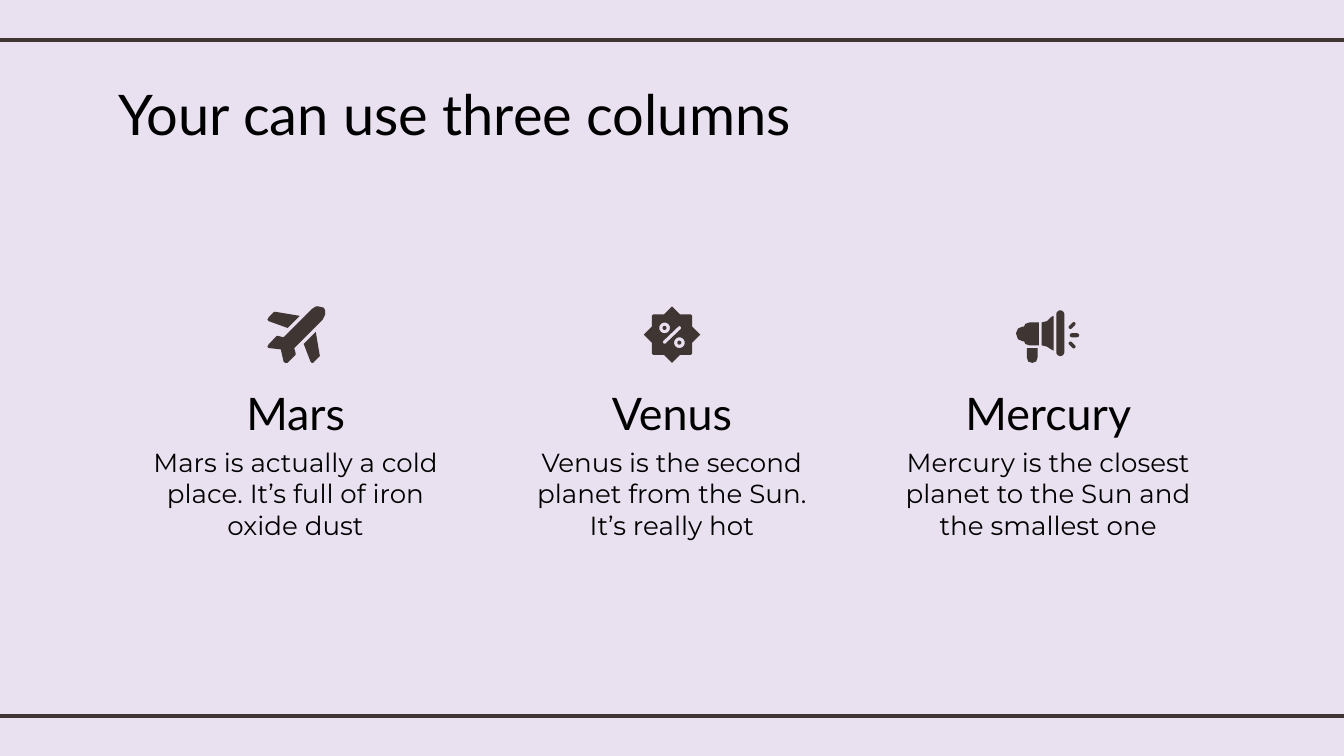
import math

from lxml import etree
from pptx import Presentation
from pptx.dml.color import RGBColor
from pptx.enum import shapes, text
from pptx.oxml import ns
from pptx.util import Inches, Pt

LILAC = RGBColor(0xE9, 0xE0, 0xF0)
BROWN = RGBColor(0x3F, 0x35, 0x33)
BLACK = RGBColor(0, 0, 0)

SLIDE_WIDTH = 10
SLIDE_HEIGHT = SLIDE_WIDTH * 9 / 16
COLUMN_WIDTH = 2.33
COLUMN_PITCH = 2.8
FIRST_CENTER = 2.2
ICON_Y = 2.49


def write(tf, words, font="Montserrat", size=14, color=BLACK,
          align=text.PP_ALIGN.LEFT):
    p = tf.paragraphs[0]
    p.alignment = align
    r = p.add_run()
    r.text = words
    r.font.name = font
    r.font.size = Pt(size)
    r.font.color.rgb = color


def capsule(x1, y1, x2, y2, radius, steps=12):
    """Outline of a round-ended bar; equal ends give a circle."""
    angle = math.atan2(y2 - y1, x2 - x1)
    points = []
    for x, y, start in ((x2, y2, angle - math.pi / 2),
                        (x1, y1, angle + math.pi / 2)):
        for i in range(steps + 1):
            turn = start + math.pi * i / steps
            points.append((x + radius * math.cos(turn),
                           y + radius * math.sin(turn)))
    return points


def badge_outline():
    """Eight-pointed badge, one quarter turned four times."""
    quarter = [(0, -21), (1, -20), (6, -15), (14, -15), (15, -14),
               (15, -6), (20, -1)]
    points = []
    for _ in range(4):
        points += quarter
        quarter = [(-y, x) for x, y in quarter]
    return points


# Icons: shapes made of outlines, in hundredths of an inch from the centre
PLANE = [
    [[(17, -21), (15, -21), (12, -19), (-9, 2), (-13, 1), (-14, 1), (-20, 7),
      (-21, 9), (-20, 10), (-11, 11), (-9, 20), (-8, 21), (-6, 21), (0, 15),
      (0, 14), (-1, 10), (20, -11), (22, -15), (22, -18), (21, -20)]],
    [[(-15, -17), (-16, -17), (-20, -13), (-21, -11), (-20, -10), (-6, -5),
      (3, -14)]],
    [[(15, -2), (6, 7), (11, 20), (12, 21), (13, 21), (17, 17), (18, 16)]],
]
BADGE = [
    [capsule(5.5, 6, 5.5, 6, 1.5)],
    [capsule(-5.5, -5, -5.5, -5, 1.5)],
    [badge_outline(), capsule(-5.5, -5, -5.5, -5, 4),
     capsule(-5.5, 5.5, 5.5, -5, 1.3), capsule(5.5, 6, 5.5, 6, 4)],
]
MEGAPHONE = [
    [capsule(17.5, 0.5, 21.5, 0.5, 1.5)],
    [capsule(16.5, 6.5, 19, 9, 1.3)],
    [capsule(16.5, -5.5, 19, -8, 1.3)],
    [[(-14, -9), (-17, -8), (-18, -6), (-19, -6), (-22.5, -4.5), (-24, -1),
      (-22.5, 3.5), (-19, 5), (-18, 5), (-17, 7), (-14, 8), (-7, 8),
      (-7, -9)]],
    [capsule(9, -15, 9, 13, 3)],
    [[(-16, 10), (-16, 17), (-15, 20), (-12, 21), (-9, 20), (-8, 17),
      (-8, 10)]],
    [[(4, -14), (2, -13), (-1, -10), (-5, -9), (-5, 8), (-1, 9), (2, 11),
      (4, 12)]],
]


class Page:
    """Holds the style and the current slide."""

    def __init__(self, s, ink=BROWN, paper=LILAC):
        self.s = s
        self.ink = ink
        s.background.fill.solid()
        s.background.fill.fore_color.rgb = paper

    def rule(self, y):
        line = self.s.shapes.add_connector(
            shapes.MSO_CONNECTOR.STRAIGHT,
            Inches(-0.08), Inches(y), Inches(10.08), Inches(y))
        line.line.color.rgb = self.ink
        line.line.width = Pt(2.25)
        etree.SubElement(line._element.spPr, ns.qn("a:effectLst"))

    def label(self, words, x, y, w, h, **style):
        tf = self.s.shapes.add_textbox(
            Inches(x), Inches(y), Inches(w), Inches(h)).text_frame
        tf.word_wrap = True
        tf.margin_left = tf.margin_right = Inches(0.1)
        tf.margin_top = tf.margin_bottom = Inches(0.1)
        write(tf, words, **style)

    def icon(self, parts, cx, cy):
        group = self.s.shapes.add_group_shape()
        for outlines in parts:
            builder = None
            for outline in outlines:
                points = [(Inches(cx + x / 100), Inches(cy + y / 100))
                          for x, y in outline]
                if builder is None:
                    builder = group.shapes.build_freeform(*points[0])
                else:
                    builder.move_to(*points[0])
                builder.add_line_segments(points[1:], close=True)
            sp = builder.convert_to_shape()
            sp.shadow.inherit = False
            sp.fill.solid()
            sp.fill.fore_color.rgb = self.ink
            sp.line.fill.background()


def main():
    prs = Presentation()
    prs.slide_width = Inches(SLIDE_WIDTH)
    prs.slide_height = Inches(SLIDE_HEIGHT)
    page = Page(prs.slides.add_slide(prs.slide_layouts[6]))

    # Frame lines and title
    for y in (0.3, 5.33):
        page.rule(y)
    page.label("Your can use three columns", 0.78, 0.49, 7.28, 0.63,
               font="Lato", size=30)

    # Columns
    columns = [
        ("Mars", "Mars is actually a cold place. It’s full of iron oxide dust",
         PLANE),
        ("Venus", "Venus is the second planet from the Sun. It’s really hot",
         BADGE),
        ("Mercury",
         "Mercury is the closest planet to the Sun and the smallest one",
         MEGAPHONE),
    ]
    center = text.PP_ALIGN.CENTER
    for i, (planet, fact, icon) in enumerate(columns):
        cx = FIRST_CENTER + i * COLUMN_PITCH
        left = cx - COLUMN_WIDTH / 2
        page.label(planet, left, 2.77, COLUMN_WIDTH, 0.49,
                   font="Lato", size=24, align=center)
        page.label(fact, left, 3.22, COLUMN_WIDTH, 0.89, align=center)
        page.icon(icon, cx, ICON_Y)

    prs.save("out.pptx")


if __name__ == "__main__":
    main()
